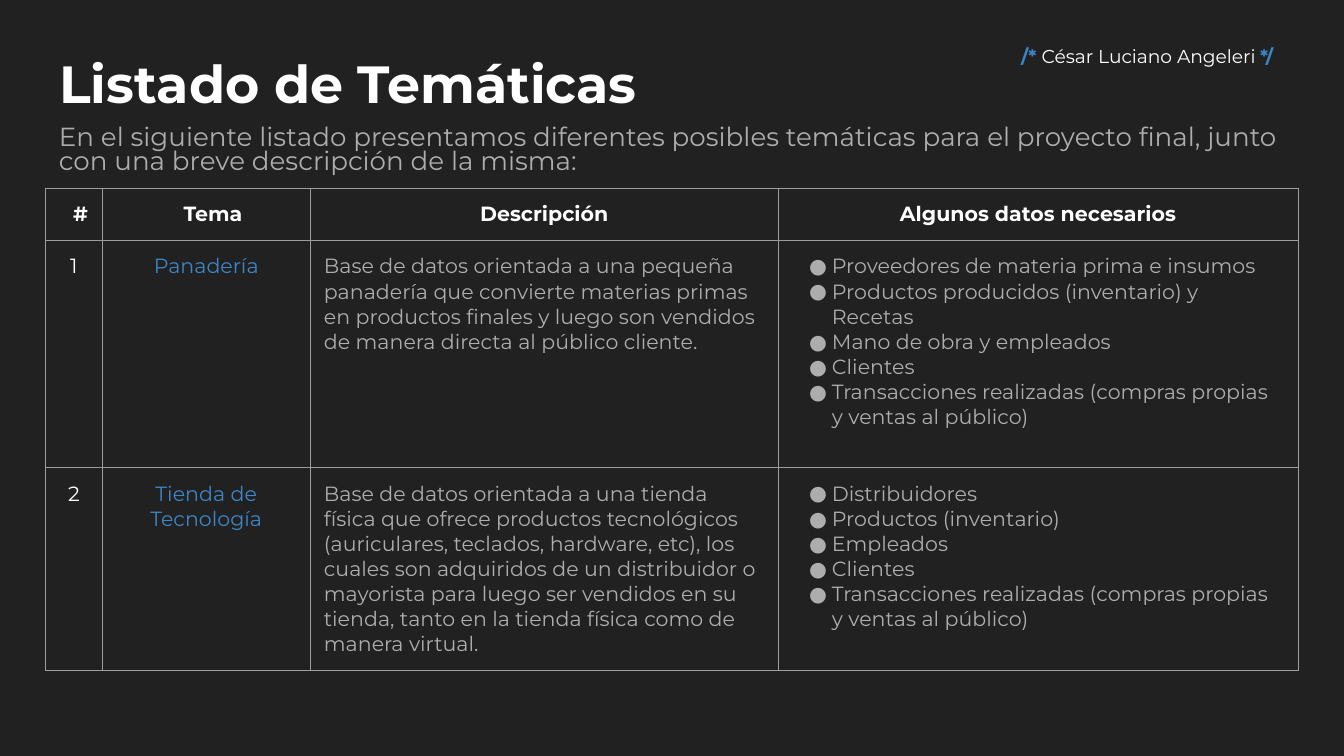
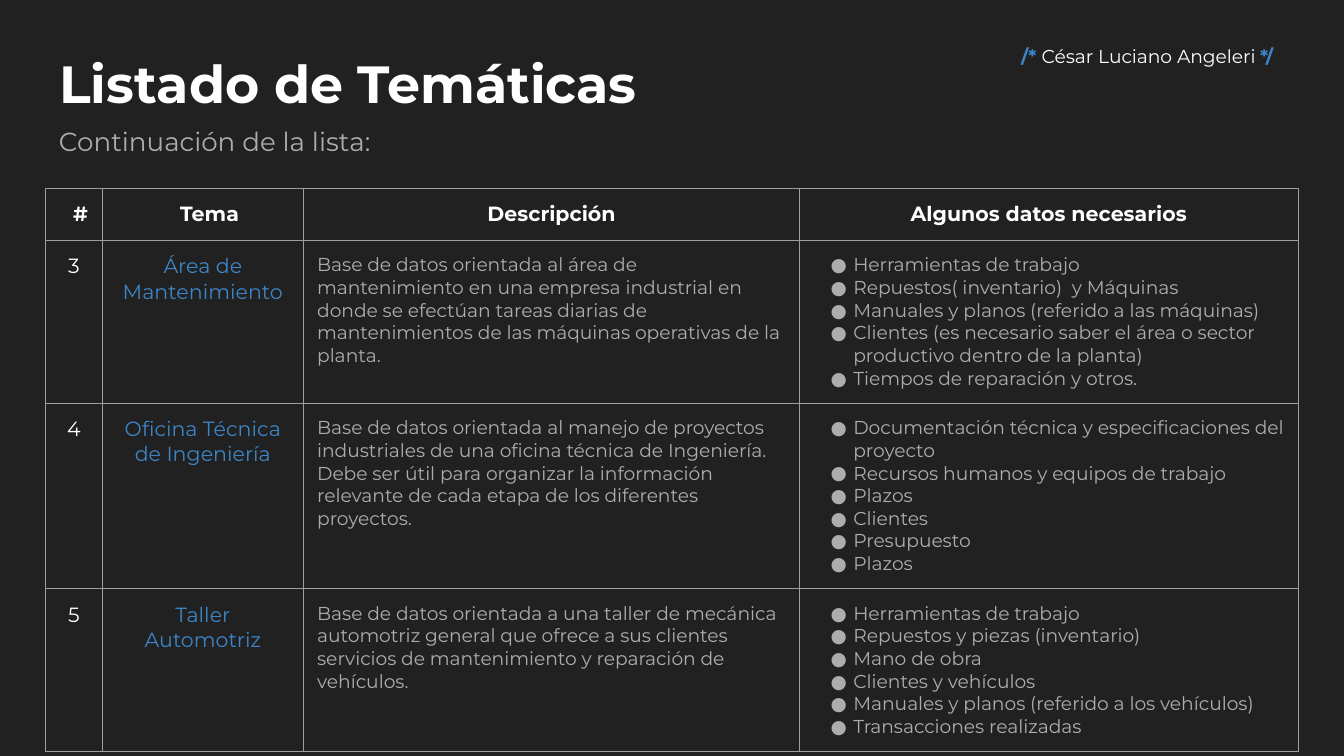
from dataclasses import dataclass

from lxml import etree
from pptx import Presentation
from pptx.dml.color import RGBColor
from pptx.enum.text import MSO_ANCHOR as Anchor, MSO_AUTO_SIZE as AutoSize, PP_ALIGN as Align
from pptx.oxml.ns import qn
from pptx.util import Inches, Pt

# Shared style
FONT = "Montserrat"
BACKGROUND, WHITE, GREY, BLUE, BORDER = "212121", "FFFFFF", "ADADAD", "3D85C6", "9E9E9E"
INSET = 0.1
TITLE_ONLY = 5

# Shared regions: left, top, width, height
TITLE_BOX = (0.34, 0.28, 9.32, 0.7)
INTRO_BOX = (0.34, 0.85, 9.32, 0.55)
AUTHOR_BOX = (7.41, 0.19, 2.25, 0.45)
TABLE_CORNER = (0.34, 1.4)

TITLE = "Listado de Temáticas"
AUTHOR = [("/* ", BLUE, True), ("César Luciano Angeleri ", WHITE, False), ("*/", BLUE, True)]
HEADERS = ["#", "Tema", "Descripción", "Algunos datos necesarios"]
HEADER_HEIGHT = 0.39


@dataclass
class Topic:
    number: int
    name: str
    description: str
    data: list
    height: float


@dataclass
class TopicPage:
    intro: str
    intro_spacing: float
    columns: list
    detail_size: int
    topics: list


PAGES = [
    TopicPage(
        "En el siguiente listado presentamos diferentes posibles temáticas para el proyecto "
        "final, junto con una breve descripción de la misma:",
        0.75, [0.42, 1.55, 3.48, 3.87], 11,
        [
            Topic(1, "Panadería",
                  "Base de datos orientada a una pequeña panadería que convierte materias primas "
                  "en productos finales y luego son vendidos de manera directa al público cliente.",
                  ["Proveedores de materia prima e insumos",
                   "Productos producidos (inventario) y Recetas",
                   "Mano de obra y empleados",
                   "Clientes",
                   "Transacciones realizadas (compras propias y ventas al público)"],
                  1.69),
            Topic(2, "Tienda de Tecnología",
                  "Base de datos orientada a una tienda física que ofrece productos tecnológicos "
                  "(auriculares, teclados, hardware, etc), los cuales son adquiridos de un "
                  "distribuidor o mayorista para luego ser vendidos en su tienda, tanto en la "
                  "tienda física como de manera virtual.",
                  ["Distribuidores",
                   "Productos (inventario)",
                   "Empleados",
                   "Clientes",
                   "Transacciones realizadas (compras propias y ventas al público)"],
                  1.5),
        ]),
    TopicPage(
        "Continuación de la lista:", 0.95, [0.42, 1.5, 3.69, 3.71], 10,
        [
            Topic(3, "Área de Mantenimiento",
                  "Base de datos orientada al área de mantenimiento en una empresa industrial en "
                  "donde se efectúan tareas diarias de mantenimientos de las máquinas operativas "
                  "de la planta.",
                  ["Herramientas de trabajo",
                   "Repuestos( inventario)  y Máquinas",
                   "Manuales y planos (referido a las máquinas)",
                   "Clientes (es necesario saber el área o sector productivo dentro de la planta)",
                   "Tiempos de reparación y otros."],
                  1.21),
            Topic(4, "Oficina Técnica de Ingeniería",
                  "Base de datos orientada al manejo de proyectos industriales de una oficina "
                  "técnica de Ingeniería. Debe ser útil para organizar la información relevante "
                  "de cada etapa de los diferentes proyectos.",
                  ["Documentación técnica y especificaciones del proyecto",
                   "Recursos humanos y equipos de trabajo",
                   "Plazos",
                   "Clientes",
                   "Presupuesto",
                   "Plazos"],
                  1.38),
            Topic(5, "Taller Automotriz",
                  "Base de datos orientada a una taller de mecánica automotriz general que ofrece "
                  "a sus clientes servicios de mantenimiento y reparación de vehículos.",
                  ["Herramientas de trabajo",
                   "Repuestos y piezas (inventario)",
                   "Mano de obra",
                   "Clientes y vehículos",
                   "Manuales y planos (referido a los vehículos)",
                   "Transacciones realizadas"],
                  1.21),
        ]),
]


# Text helpers
def color(hex_code):
    return RGBColor.from_string(hex_code)


def style_run(run, size, hex_code, bold=False):
    run.font.name = FONT
    run.font.size = Pt(size)
    run.font.bold = bold
    run.font.color.rgb = color(hex_code)


def style_frame(frame, size, hex_code, bold=False, align=Align.LEFT):
    for paragraph in frame.paragraphs:
        paragraph.alignment = align
        for run in paragraph.runs:
            style_run(run, size, hex_code, bold)


def set_insets(holder, right=INSET):
    holder.margin_left = holder.margin_top = holder.margin_bottom = Inches(INSET)
    holder.margin_right = Inches(right)


def prepare_frame(frame, anchor=Anchor.TOP):
    frame.word_wrap = True
    frame.auto_size = AutoSize.NONE
    frame.vertical_anchor = anchor
    set_insets(frame)


def add_bullet(paragraph):
    properties = paragraph._p.get_or_add_pPr()
    properties.set("marL", str(Inches(0.3)))
    properties.set("indent", str(Inches(-0.17)))
    bullet_color = etree.SubElement(properties, qn("a:buClr"))
    etree.SubElement(bullet_color, qn("a:srgbClr"), val=GREY)
    etree.SubElement(properties, qn("a:buFont"), typeface=FONT)
    etree.SubElement(properties, qn("a:buChar"), char="●")


def add_borders(cell):
    properties = cell._tc.get_or_add_tcPr()
    for position, side in enumerate(("lnL", "lnR", "lnT", "lnB")):
        line = etree.Element(qn(f"a:{side}"), w=str(Pt(0.75)))
        fill = etree.SubElement(line, qn("a:solidFill"))
        etree.SubElement(fill, qn("a:srgbClr"), val=BORDER)
        properties.insert(position, line)


# Slide regions
def place_title(slide, box):
    title = slide.shapes.title
    title.left, title.top, title.width, title.height = map(Inches, box)
    title.text_frame.text = TITLE
    prepare_frame(title.text_frame)
    style_frame(title.text_frame, 28, WHITE, bold=True)


def place_intro(slide, box, text, spacing):
    frame = slide.shapes.add_textbox(*map(Inches, box)).text_frame
    prepare_frame(frame)
    frame.text = text
    style_frame(frame, 14, GREY)
    frame.paragraphs[0].line_spacing = spacing
    frame.paragraphs[0].space_after = Pt(12)


def place_author(slide, box):
    frame = slide.shapes.add_textbox(*map(Inches, box)).text_frame
    prepare_frame(frame, Anchor.MIDDLE)
    line = frame.paragraphs[0]
    line.alignment = Align.CENTER
    for text, hex_code, bold in AUTHOR:
        run = line.add_run()
        run.text = text
        style_run(run, 10, hex_code, bold)


def fill_cell(cell, text, size, hex_code, bold=False, align=Align.CENTER, right=INSET):
    cell.text_frame.text = text
    cell.vertical_anchor = Anchor.TOP
    set_insets(cell, right)
    style_frame(cell.text_frame, size, hex_code, bold, align)
    cell.fill.background()
    add_borders(cell)


def place_topics(slide, corner, page):
    heights = [HEADER_HEIGHT] + [topic.height for topic in page.topics]
    box = (*corner, sum(page.columns), sum(heights))
    table = slide.shapes.add_table(len(heights), len(HEADERS), *map(Inches, box)).table
    table.first_row = table.horz_banding = False
    for column, width in zip(table.columns, page.columns):
        column.width = Inches(width)
    for row, height in zip(table.rows, heights):
        row.height = Inches(height)

    for index, header in enumerate(HEADERS):
        fill_cell(table.cell(0, index), header, 11, WHITE, bold=True,
                  right=0 if index < 2 else INSET)

    for row, topic in enumerate(page.topics, start=1):
        number, name, description, data = (table.cell(row, i) for i in range(len(HEADERS)))
        fill_cell(number, str(topic.number), 11, WHITE)
        fill_cell(name, topic.name, 11, BLUE)
        details = ((description, topic.description), (data, "\n".join(topic.data)))
        for cell, text in details:
            fill_cell(cell, text, page.detail_size, GREY, align=Align.LEFT)
        for paragraph in data.text_frame.paragraphs:
            add_bullet(paragraph)


def add_topic_slide(deck, page):
    slide = deck.slides.add_slide(deck.slide_layouts[TITLE_ONLY])
    place_title(slide, TITLE_BOX)
    place_intro(slide, INTRO_BOX, page.intro, page.intro_spacing)
    place_topics(slide, TABLE_CORNER, page)
    place_author(slide, AUTHOR_BOX)


def main():
    deck = Presentation()
    deck.slide_width = Inches(10)
    deck.slide_height = deck.slide_width * 9 // 16
    backdrop = deck.slide_master.background.fill
    backdrop.solid()
    backdrop.fore_color.rgb = color(BACKGROUND)
    for page in PAGES:
        add_topic_slide(deck, page)
    deck.save("out.pptx")


if __name__ == "__main__":
    main()
